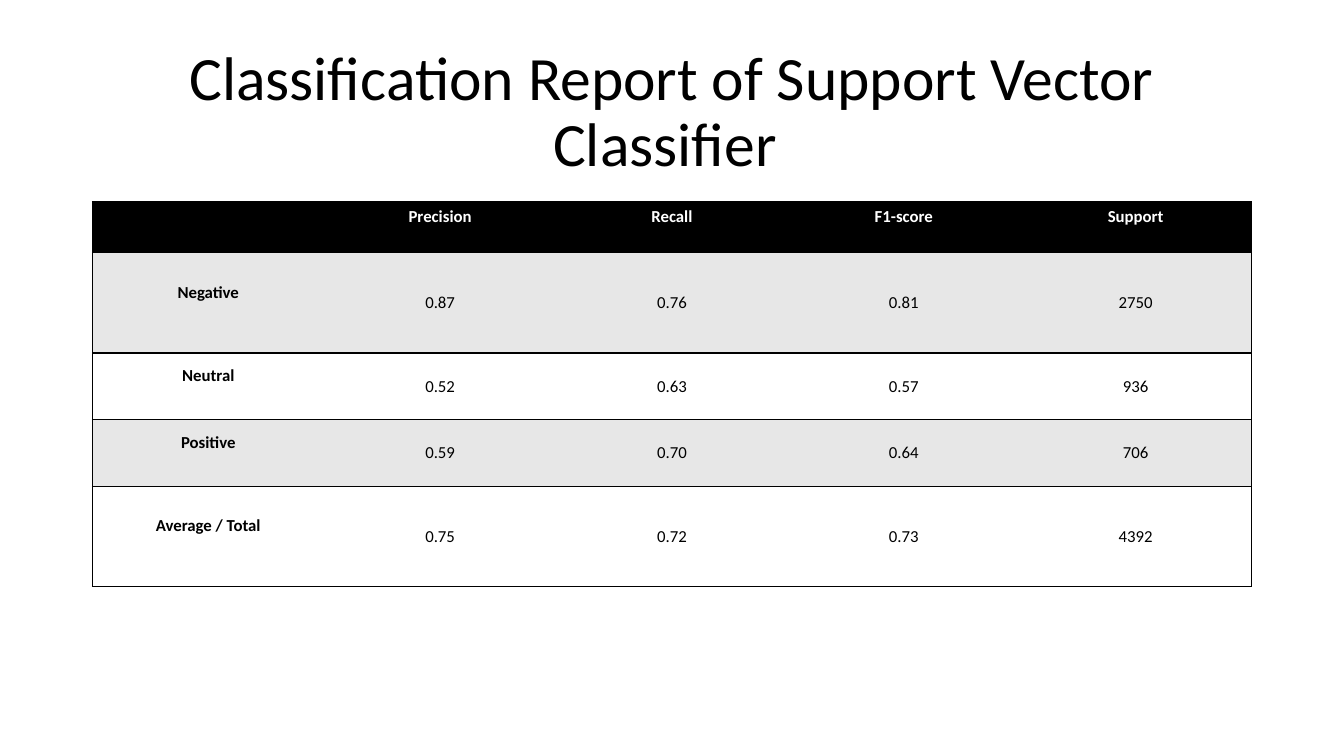
from dataclasses import dataclass

from lxml.etree import SubElement
from pptx import Presentation
from pptx.dml.color import RGBColor
from pptx.enum.text import MSO_ANCHOR, MSO_AUTO_SIZE, PP_ALIGN
from pptx.oxml import parse_xml
from pptx.oxml.ns import nsdecls, qn
from pptx.table import _Cell as Cell
from pptx.text.text import _Paragraph as Paragraph
from pptx.util import Pt

BLACK = RGBColor(0x00, 0x00, 0x00)
WHITE = RGBColor(0xFF, 0xFF, 0xFF)
GRAY = RGBColor(0xE7, 0xE7, 0xE7)

FONT = "Calibri"
NO_STYLE = "{2D5ABB26-0587-4C30-8999-92F81FD0307C}"
LEFT, WIDTH = 66, 828
LABEL_LIFT = 14.65


@dataclass(frozen=True)
class Row:
    height: float
    texts: tuple[str, ...]
    fill: RGBColor
    color: RGBColor = BLACK


ROWS = (
    Row(32.4, ("", "Precision", "Recall", "F1-score", "Support"), BLACK, WHITE),
    Row(71.5, ("Negative", "0.87", "0.76", "0.81", "2750"), GRAY),
    Row(47.7, ("Neutral", "0.52", "0.63", "0.57", "936"), WHITE),
    Row(47.7, ("Positive", "0.59", "0.70", "0.64", "706"), GRAY),
    Row(71.5, ("Average / Total", "0.75", "0.72", "0.73", "4392"), WHITE),
)


def add_run(p: Paragraph, text: str, size: float, color: RGBColor, bold: bool = False) -> None:
    p.alignment = PP_ALIGN.CENTER
    r = p.add_run()
    r.text = text
    r.font.name = FONT
    r.font.size = Pt(size)
    r.font.bold = bold
    r.font.color.rgb = color


def set_borders(cell: Cell, sides: str) -> None:
    """Draw 1 pt black lines on the given sides, listed in the order L, R, T, B."""
    tc_pr = cell._tc.get_or_add_tcPr()
    for i, side in enumerate(sides):
        ln = parse_xml(f'<a:ln{side} {nsdecls("a")} w="{Pt(1)}"/>')
        fill = SubElement(ln, qn("a:solidFill"))
        SubElement(fill, qn("a:srgbClr"), val=str(BLACK))
        tc_pr.insert(i, ln)


def fill_cell(cell: Cell, row: Row, text: str, is_label: bool, sides: str) -> None:
    cell.fill.solid()
    cell.fill.fore_color.rgb = row.fill
    set_borders(cell, sides)
    cell.vertical_anchor = MSO_ANCHOR.MIDDLE
    cell.margin_left = cell.margin_right = Pt(8)
    cell.margin_top = Pt(0)
    cell.margin_bottom = Pt(LABEL_LIFT if is_label else 0)
    if text:
        add_run(cell.text_frame.paragraphs[0], text, 12, row.color, is_label)


def main() -> None:
    prs = Presentation()
    prs.slide_width, prs.slide_height = Pt(960), Pt(540)
    s = prs.slides.add_slide(prs.slide_layouts[5])

    title = s.shapes.title
    title.left, title.top, title.width, title.height = Pt(LEFT), Pt(28.75), Pt(WIDTH), Pt(104.4)
    tf = title.text_frame
    tf.word_wrap = True
    tf.auto_size = MSO_AUTO_SIZE.NONE
    tf.vertical_anchor = MSO_ANCHOR.MIDDLE
    p = tf.paragraphs[0]
    p.line_spacing = 0.9
    add_run(p, "Classification Report of Support Vector Classifier ", 44, BLACK)

    n_cols = len(ROWS[0].texts)
    height = sum(row.height for row in ROWS)
    frame = s.shapes.add_table(len(ROWS), n_cols, Pt(LEFT), Pt(144), Pt(WIDTH), Pt(height))
    report = frame.table
    report.horz_banding = False
    report._tbl.tblPr.find(qn("a:tableStyleId")).text = NO_STYLE
    for column in report.columns:
        column.width = Pt(WIDTH / n_cols)
    for i, row in enumerate(ROWS):
        report.rows[i].height = Pt(row.height)
        for j, text in enumerate(row.texts):
            sides = {0: "L", n_cols - 1: "R"}.get(j, "") + "TB"
            fill_cell(report.cell(i, j), row, text, i == 0 or j == 0, sides)

    prs.save("out.pptx")


if __name__ == "__main__":
    main()
